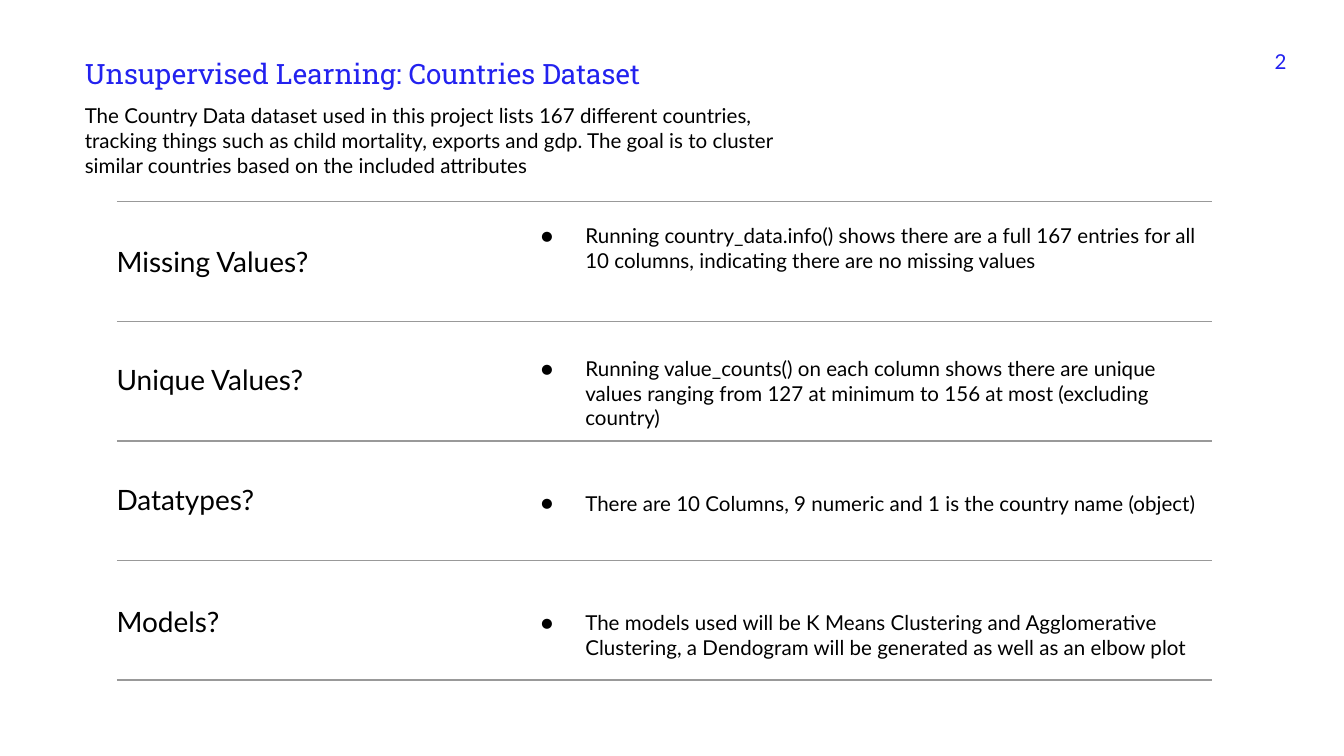
from dataclasses import dataclass

from lxml import etree
from pptx import Presentation
from pptx.dml.color import RGBColor
from pptx.enum import shapes, text
from pptx.oxml import ns
from pptx.util import Pt


@dataclass
class Theme:
    ink: str = "000000"
    blue: str = "2322EF"
    rule: str = "999999"
    sans: str = "Lato"
    slab: str = "Roboto Slab"
    small: float = 11
    large: float = 15


theme = Theme()


def write(box, words, at, size=theme.small, color=theme.ink, font=theme.sans,
          align=text.PP_ALIGN.LEFT, bullet=False):
    box.left, box.top, box.width, box.height = [Pt(n) for n in at]
    frame = box.text_frame
    frame.text = words
    frame.word_wrap = True
    frame.auto_size = text.MSO_AUTO_SIZE.NONE
    frame.vertical_anchor = text.MSO_ANCHOR.TOP
    frame.margin_left = frame.margin_right = Pt(7.2)
    frame.margin_top = frame.margin_bottom = Pt(7.2)
    para = frame.paragraphs[0]
    para.alignment = align
    para.line_spacing = 1.0
    para.space_before = para.space_after = Pt(0)
    face = para.runs[0].font
    face.name = font
    face.size = Pt(size)
    face.color.rgb = RGBColor.from_string(color)
    props = para._p.get_or_add_pPr()
    props.set("marL", str(Pt(36 if bullet else 0)))
    props.set("indent", str(Pt(-23.8 if bullet else 0)))
    if bullet:
        tint = etree.SubElement(props, ns.qn("a:buClr"))
        etree.SubElement(tint, ns.qn("a:srgbClr"), val=color)
        etree.SubElement(props, ns.qn("a:buFont"), typeface=font)
        etree.SubElement(props, ns.qn("a:buChar"), char="●")
    else:
        etree.SubElement(props, ns.qn("a:buNone"))


deck = Presentation()
deck.slide_width, deck.slide_height = Pt(720), Pt(405)
slide = deck.slides.add_slide(deck.slide_layouts[1])

write(slide.shapes.title, "Unsupervised Learning: Countries Dataset",
      (38.2, 23, 378.7, 26.6), size=theme.large, color=theme.blue, font=theme.slab)
write(slide.placeholders[1],
      "The Country Data dataset used in this project lists 167 different countries, "
      "tracking things such as child mortality, exports and gdp. The goal is to cluster "
      "similar countries based on the included attributes",
      (38.2, 48.2, 383.8, 29.5))
write(slide.shapes.add_textbox(0, 0, 0, 0), "2", (668.9, 19.4, 27.4, 13.7),
      color=theme.blue, align=text.PP_ALIGN.RIGHT)

rows = [
    ("Missing Values?", 123.8, 112.3, 55.4,
     "Running country_data.info() shows there are a full 167 entries for all "
     "10 columns, indicating there are no missing values"),
    ("Unique Values?", 187.2, 183.6, 41.8,
     "Running value_counts() on each column shows there are unique values ranging "
     "from 127 at minimum to 156 at most (excluding country)"),
    ("Datatypes?", 251.3, 255.6, 25.9,
     "There are 10 Columns, 9 numeric and 1 is the country name (object)"),
    ("Models?", 316.8, 319.7, 24.5,
     "The models used will be K Means Clustering and Agglomerative Clustering, "
     "a Dendogram will be generated as well as an elbow plot"),
]
for label, top, start, height, detail in rows:
    write(slide.shapes.add_textbox(0, 0, 0, 0), label,
          (55.4, top, 160.6, 30), size=theme.large)
    write(slide.shapes.add_textbox(0, 0, 0, 0), detail,
          (270.5, start, 378.7, height), bullet=True)

for i in range(len(rows) + 1):
    y = Pt(108 + 64.1 * i)
    line = slide.shapes.add_connector(shapes.MSO_CONNECTOR.STRAIGHT,
                                      Pt(62.6), y, Pt(649.4), y)
    line.line.color.rgb = RGBColor.from_string(theme.rule)
    line.line.width = Pt(0.75)
    etree.SubElement(line._element.spPr, ns.qn("a:effectLst"))

deck.save("out.pptx")
